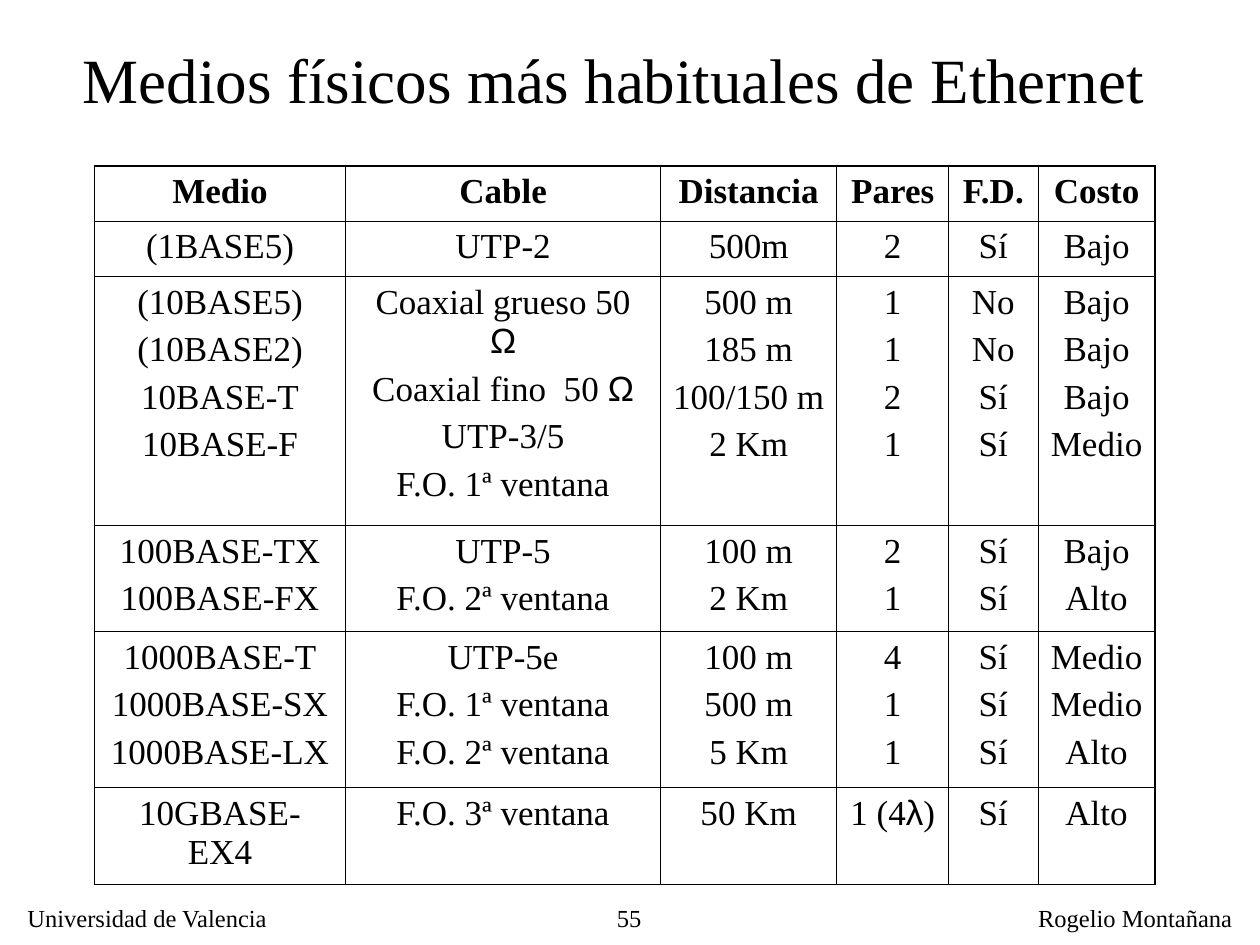
from lxml import etree
from pptx import Presentation
from pptx.dml.color import RGBColor
from pptx.enum.text import MSO_ANCHOR, MSO_AUTO_SIZE, PP_ALIGN
from pptx.oxml.ns import qn
from pptx.util import Pt

LEFT, CENTER, RIGHT = PP_ALIGN.LEFT, PP_ALIGN.CENTER, PP_ALIGN.RIGHT
TOP, MIDDLE = MSO_ANCHOR.TOP, MSO_ANCHOR.MIDDLE
FIT_SHAPE, NO_FIT = MSO_AUTO_SIZE.SHAPE_TO_FIT_TEXT, MSO_AUTO_SIZE.NONE

BLACK = "000000"
WHITE = "FFFFFF"
SERIF = "Times New Roman"
SYMBOL_FONT = "Arial"
SYMBOLS = "Ωλ"

THIN, THICK = 0.45, 1.08
COLUMN_WIDTHS = [143.5, 180, 100.7, 63.9, 51.1, 67]
ROW_HEIGHTS = [31.5, 31.5, 142.4, 60.5, 89.3, 31.5]

# One entry per table row; each cell is a list of lines
MEDIA_ROWS = [
    [["Medio"], ["Cable"], ["Distancia"], ["Pares"], ["F.D."], ["Costo"]],
    [["(1BASE5)"], ["UTP-2"], ["500m"], ["2"], ["Sí"], ["Bajo"]],
    [["(10BASE5)", "(10BASE2)", "10BASE-T", "10BASE-F"],
     ["Coaxial grueso 50 Ω", "Coaxial fino  50 Ω", "UTP-3/5", "F.O. 1ª ventana"],
     ["500 m", "185 m", "100/150 m", "2 Km"],
     ["1", "1", "2", "1"],
     ["No", "No", "Sí", "Sí"],
     ["Bajo", "Bajo", "Bajo", "Medio"]],
    [["100BASE-TX", "100BASE-FX"],
     ["UTP-5", "F.O. 2ª ventana"],
     ["100 m", "2 Km"], ["2", "1"], ["Sí", "Sí"], ["Bajo", "Alto"]],
    [["1000BASE-T", "1000BASE-SX", "1000BASE-LX"],
     ["UTP-5e", "F.O. 1ª ventana", "F.O. 2ª ventana"],
     ["100 m", "500 m", "5 Km"],
     ["4", "1", "1"],
     ["Sí", "Sí", "Sí"],
     ["Medio", "Medio", "Alto"]],
    [["10GBASE-EX4"], ["F.O. 3ª ventana"], ["50 Km"], ["1 (4λ)"], ["Sí"], ["Alto"]],
]


def color(hex_value):
    return RGBColor.from_string(hex_value)


def set_attributes(target, values):
    for name, value in values.items():
        setattr(target, name, value)


def split_symbols(line):
    """Split a line into pieces of plain text and single symbols."""
    pieces = [""]
    for character in line:
        if character in SYMBOLS:
            pieces += [character, ""]
        else:
            pieces[-1] += character
    return [piece for piece in pieces if piece]


def write_lines(frame, lines, size, alignment, bold=False):
    for index, line in enumerate(lines):
        paragraph = frame.add_paragraph() if index else frame.paragraphs[0]
        set_attributes(paragraph, {"alignment": alignment,
                                   "space_before": Pt(5 if index else 0)})
        for piece in split_symbols(line):
            run = paragraph.add_run()
            run.text = piece
            set_attributes(run.font, {
                "name": SYMBOL_FONT if piece in SYMBOLS else SERIF,
                "size": Pt(size),
                "bold": bold,
            })
            run.font.color.rgb = color(BLACK)


def add_text(slide, box, text, size, alignment, anchor=TOP, wrap=True):
    shape = slide.shapes.add_textbox(*map(Pt, box))
    set_attributes(shape.text_frame, {
        "word_wrap": wrap,
        "auto_size": NO_FIT if wrap else FIT_SHAPE,
        "vertical_anchor": anchor,
    })
    write_lines(shape.text_frame, [text], size, alignment)


def set_borders(cell, widths):
    """Draw the left, right, top and bottom borders, in that order."""
    properties = cell._tc.get_or_add_tcPr()
    for index, (side, width) in enumerate(zip("LRTB", widths)):
        line = etree.Element(qn(f"a:ln{side}"), w=str(Pt(width)))
        fill = etree.SubElement(line, qn("a:solidFill"))
        etree.SubElement(fill, qn("a:srgbClr"), val=BLACK)
        properties.insert(index, line)


def add_media_table(slide, box):
    row_count, column_count = len(ROW_HEIGHTS), len(COLUMN_WIDTHS)
    table = slide.shapes.add_table(row_count, column_count, *map(Pt, box)).table
    set_attributes(table, {"first_row": False, "horz_banding": False})
    for column, width in zip(table.columns, COLUMN_WIDTHS):
        column.width = Pt(width)
    for row, height in zip(table.rows, ROW_HEIGHTS):
        row.height = Pt(height)

    for row_index, row_values in enumerate(MEDIA_ROWS):
        for column_index, lines in enumerate(row_values):
            cell = table.cell(row_index, column_index)
            set_attributes(cell, {
                "margin_left": Pt(7.2), "margin_right": Pt(7.2),
                "margin_top": Pt(3.6), "margin_bottom": Pt(3.6),
                "vertical_anchor": TOP,
            })
            cell.fill.background()
            write_lines(cell.text_frame, lines, 20, CENTER, bold=row_index == 0)
            # The outer frame is thicker than the inner grid
            outer_edges = [column_index == 0, column_index == column_count - 1,
                           row_index == 0, row_index == row_count - 1]
            set_borders(cell, [THICK if outer else THIN for outer in outer_edges])


def add_footer(slide, box):
    left, top, width, height = box
    author_width = 125.3
    add_text(slide, (left, top, 153.4, height), "Universidad de Valencia",
             14, LEFT, wrap=False)
    add_text(slide, (left + 288.7, top, 76.3, height), "55", 14, RIGHT)
    add_text(slide, (left + width - author_width, top, author_width, height),
             "Rogelio Montañana", 14, LEFT, wrap=False)


def main():
    presentation = Presentation()
    set_attributes(presentation, {"slide_width": Pt(720), "slide_height": Pt(540)})
    slide = presentation.slides.add_slide(presentation.slide_layouts[6])
    slide.background.fill.solid()
    slide.background.fill.fore_color.rgb = color(WHITE)

    # Footer, title and table
    add_footer(slide, (8.6, 512.6, 702.8, 24.2))
    add_text(slide, (23.8, 23.8, 653.8, 41.8),
             "Medios físicos más habituales de Ethernet", 36, CENTER, MIDDLE)
    add_media_table(slide, (54, 95, sum(COLUMN_WIDTHS), sum(ROW_HEIGHTS)))

    presentation.save("out.pptx")


if __name__ == "__main__":
    main()
